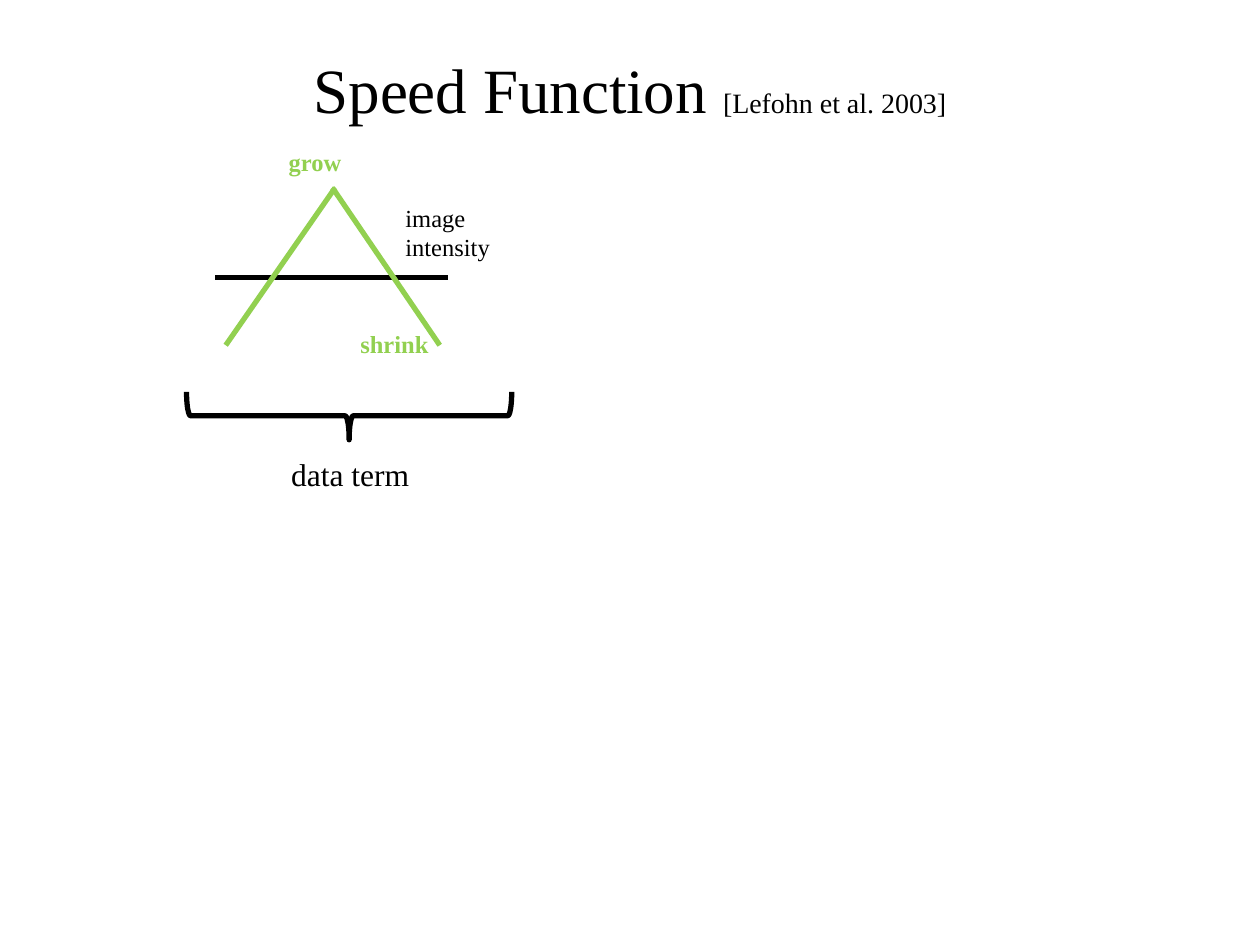
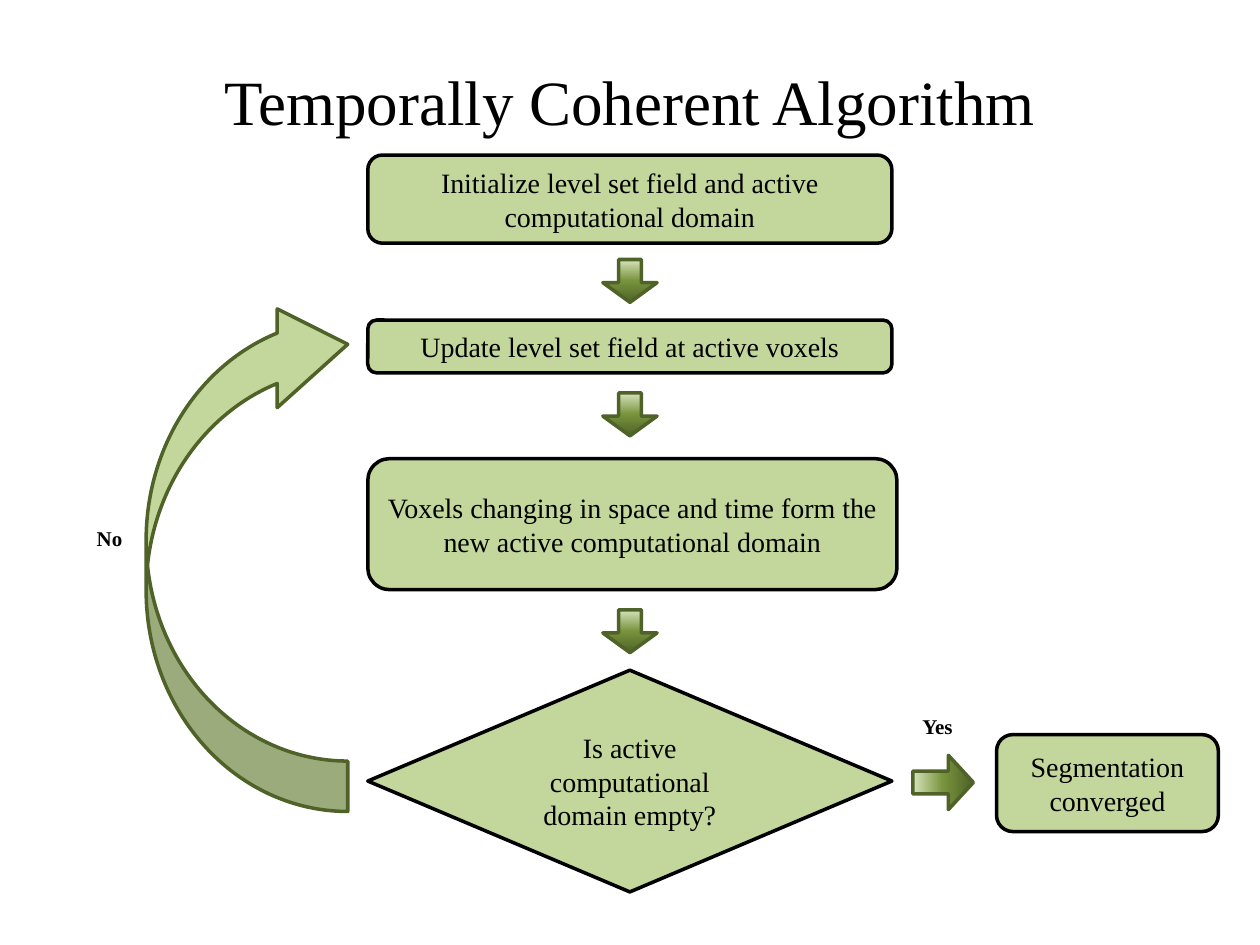
from copy import deepcopy

from lxml import etree
from pptx import Presentation
from pptx.dml.color import RGBColor
from pptx.enum import shapes, text
from pptx.oxml import ns
from pptx.util import Pt

BLACK, LIME = "000000", "92D050"
LEAF, MOSS = "C3D69B", "4F6228"
ARROW_SHADES = ["D7E4BD", "77933C", MOSS]
SHAPE = shapes.MSO_SHAPE
INSETS = (6, 3, 6, 3)


def rgb(color):
    return RGBColor.from_string(color)


class Deck:
    font = "Times New Roman"
    title_size = 36
    body_size = 16

    def __init__(self, width, height):
        self.prs = Presentation()
        self.prs.slide_width, self.prs.slide_height = Pt(width), Pt(height)
        self.width = width

    def new_slide(self):
        self.slide = self.prs.slides.add_slide(self.prs.slide_layouts[6])

    def set_words(self, frame, words, size, color=BLACK, bold=False,
                  align=text.PP_ALIGN.CENTER, anchor=text.MSO_ANCHOR.TOP):
        frame.word_wrap = True
        frame.vertical_anchor = anchor
        paragraph = frame.paragraphs[0]
        paragraph.alignment = align
        paragraph.add_run().text = words
        paragraph.font.name = self.font
        paragraph.font.size = Pt(size)
        paragraph.font.bold = bold
        paragraph.font.color.rgb = rgb(color)
        return paragraph

    def label(self, words, left, top, width, height, size, **style):
        box = self.slide.shapes.add_textbox(Pt(left), Pt(top), Pt(width), Pt(height))
        return self.set_words(box.text_frame, words, size, **style)

    def title(self, words, top, height, citation=None):
        heading = self.label(words, 0, top, self.width, height, self.title_size,
                             anchor=text.MSO_ANCHOR.MIDDLE)
        if citation:
            source = heading.add_run()
            source.text = citation
            source.font.size = Pt(self.body_size)

    def line(self, start, end, color, weight=3):
        stroke = self.slide.shapes.add_connector(
            shapes.MSO_CONNECTOR.STRAIGHT, *map(Pt, start + end))
        stroke.line.color.rgb = rgb(color)
        stroke.line.width = Pt(weight)
        etree.SubElement(stroke._element.spPr, ns.qn("a:effectLst"))

    def shape(self, kind, left, top, width, height, fill=None, line=BLACK,
              weight=2, rotation=0, adjustments=()):
        figure = self.slide.shapes.add_shape(
            kind, Pt(left), Pt(top), Pt(width), Pt(height))
        figure.shadow.inherit = False
        figure.rotation = rotation
        for index, value in enumerate(adjustments):
            figure.adjustments[index] = value
        if fill:
            figure.fill.solid()
            figure.fill.fore_color.rgb = rgb(fill)
        else:
            figure.fill.background()
        figure.line.color.rgb = rgb(line)
        figure.line.width = Pt(weight)
        return figure

    def step(self, kind, words, left, top, width, height):
        frame = self.shape(kind, left, top, width, height, LEAF).text_frame
        (frame.margin_left, frame.margin_top,
         frame.margin_right, frame.margin_bottom) = map(Pt, INSETS)
        self.set_words(frame, words, self.body_size, anchor=text.MSO_ANCHOR.MIDDLE)

    def block_arrow(self, left, top, width, height, rotation=0):
        arrow = self.shape(SHAPE.DOWN_ARROW, left, top, width, height, line=MOSS,
                           rotation=rotation, adjustments=(0.42, 0.46))
        arrow.fill.gradient()
        arrow.fill.gradient_angle = 270
        first = arrow._element.spPr.find(".//" + ns.qn("a:gs"))
        first.addnext(deepcopy(first))
        for index, (stop, shade) in enumerate(zip(arrow.fill.gradient_stops, ARROW_SHADES)):
            stop.position = index / 2
            stop.color.rgb = rgb(shade)


def speed_function(deck):
    deck.new_slide()
    deck.title("Speed Function ", 16.5, 67.7, "[Lefohn et al. 2003]")
    deck.line((123, 158.4), (256.3, 158.4), BLACK)
    deck.line((190, 107.3), (251.3, 197.3), LIME)
    deck.line((191.5, 107.3), (129, 197.3), LIME)
    deck.label("image intensity", 224.6, 112.3, 67.7, 41, 14, align=text.PP_ALIGN.LEFT)
    deck.label("grow", 147, 80.6, 66, 24.5, 14, color=LIME, bold=True)
    deck.label("data term", 104.4, 256.3, 191.5, 29, 18)
    deck.shape(SHAPE.LEFT_BRACE, 185.8, 144.7, 27.4, 185.8, weight=3, rotation=270)
    deck.label("shrink", 186.5, 184.3, 77.8, 24.5, 14, color=LIME, bold=True)


def coherent_algorithm(deck):
    deck.new_slide()
    deck.title("Temporally Coherent Algorithm", 12.2, 90)
    left, width = 210.2, 299.5
    steps = [
        ("Initialize level set field and active computational domain", 88.6, width, 50.4),
        ("Update level set field at active voxels", 182.9, width, 30.2),
        ("Voxels changing in space and time form the new active computational domain",
         262.1, 302.4, 74.9),
    ]
    for (words, top, step_width, height), arrow_top in zip(steps, (148.3, 224.6, 348.5)):
        deck.step(SHAPE.ROUNDED_RECTANGLE, words, left, top, step_width, height)
        deck.block_arrow(344.5, arrow_top, 31, 24.5)
    deck.step(SHAPE.FLOWCHART_DECISION, "Is active computational domain empty?",
              left, 383, width, 126.7)
    deck.step(SHAPE.ROUNDED_RECTANGLE, "Segmentation converged", 569.5, 419.8, 126.7, 55.4)
    deck.block_arrow(523.4, 429.8, 31, 34.6, rotation=270)
    deck.shape(SHAPE.CURVED_LEFT_ARROW, 83.5, 168.5, 115.2, 295.2, LEAF, MOSS,
               rotation=180, adjustments=(0.25, 0.49, 0.35))
    for answer, answer_left, top in (("Yes", 509.8, 404), ("No", 36.7, 296.6)):
        deck.label(answer, answer_left, top, 51.8, 28.8, 12, bold=True)


def main():
    deck = Deck(720, 540)
    speed_function(deck)
    coherent_algorithm(deck)
    deck.prs.save("out.pptx")


if __name__ == "__main__":
    main()
